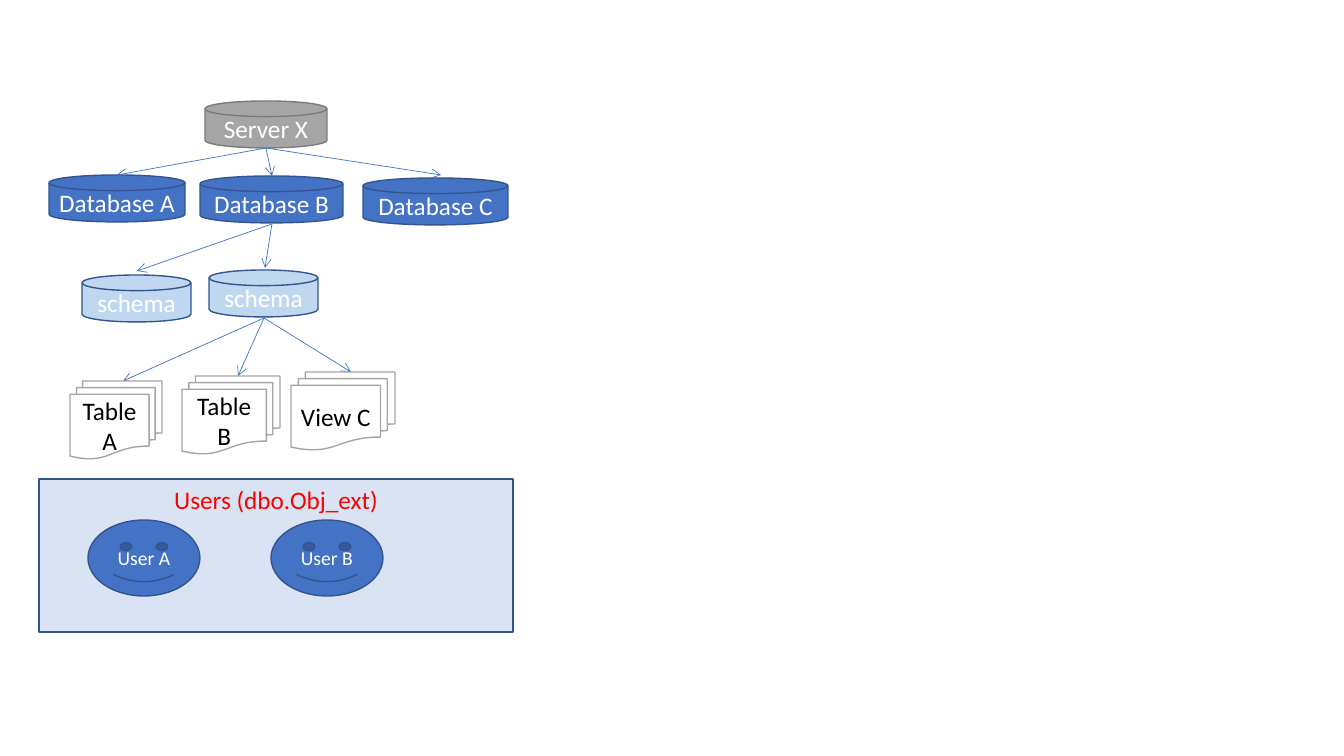
from dataclasses import dataclass

from lxml import etree
from pptx import Presentation
from pptx import util as u
from pptx.dml.color import RGBColor
from pptx.enum import shapes, text
from pptx.oxml import ns

PX = 914400 / 100.8  # EMU in one pixel
KIND = shapes.MSO_SHAPE


@dataclass(frozen=True)
class Theme:
    """Colours, type sizes and line widths of the slide."""
    font: str = "Calibri"
    body: int = 18
    small: int = 14
    outline: float = 1
    thin: float = 0.5
    white: str = "FFFFFF"
    black: str = "000000"
    red: str = "FF0000"
    blue: str = "4472C4"
    navy: str = "325491"
    sky: str = "BFD8EF"
    panel: str = "DAE3F3"
    grey: str = "A5A5A5"
    dark_grey: str = "7A7A7A"


def emu(px):
    """Turn pixels into EMU."""
    return u.Emu(round(px * PX))


def rgb(code):
    """Turn a hex code into a colour."""
    return RGBColor.from_string(code)


def write(sp, words, *, font, size, color, anchor=text.MSO_ANCHOR.MIDDLE):
    """Put one centred paragraph into a shape."""
    tf = sp.text_frame
    tf.word_wrap = True
    tf.vertical_anchor = anchor
    p = tf.paragraphs[0]
    p.alignment = text.PP_ALIGN.CENTER
    r = p.add_run()
    r.text = words
    r.font.name, r.font.size = font, u.Pt(size)
    r.font.color.rgb = rgb(color)


class Diagram:
    """Draws the elements of one slide in one style."""

    def __init__(self, s, theme):
        """Keep the slide and the theme."""
        self.s, self.t = s, theme

    def box(self, kind, words, at, fill, line, color=None, size=None, **fmt):
        """Add a filled, outlined preset shape with text."""
        sp = self.s.shapes.add_shape(kind, *map(emu, at))
        sp.shadow.inherit = False
        sp.fill.solid()
        sp.fill.fore_color.rgb = rgb(fill)
        sp.line.color.rgb = rgb(line)
        sp.line.width = u.Pt(self.t.outline)
        write(sp, words, font=self.t.font, size=size or self.t.body,
              color=color or self.t.white, **fmt)

    def disk(self, words, at, fill, line=None):
        """Add a cylinder for a server, database or schema."""
        self.box(KIND.FLOWCHART_MAGNETIC_DISK, words, at, fill,
                 line or self.t.navy)

    def pages(self, words, at):
        """Add a stack of pages for a table or view."""
        self.box(KIND.FLOWCHART_MULTIDOCUMENT, words, at, self.t.white,
                 self.t.grey, self.t.black)

    def panel(self, words, at):
        """Add a panel with its title at the top."""
        self.box(KIND.RECTANGLE, words, at, self.t.panel, self.t.navy,
                 self.t.red, anchor=text.MSO_ANCHOR.TOP)

    def user(self, words, at):
        """Add a smiley for a user."""
        self.box(KIND.SMILEY_FACE, words, at, self.t.blue, self.t.navy,
                 size=self.t.small)

    def arrow(self, start, end):
        """Add a thin line with an open arrowhead at its end."""
        c = self.s.shapes.add_connector(shapes.MSO_CONNECTOR.STRAIGHT,
                                        *map(emu, start + end))
        c.line.color.rgb = rgb(self.t.blue)
        c.line.width = u.Pt(self.t.thin)
        props = c._element.spPr
        etree.SubElement(props.find(ns.qn("a:ln")), ns.qn("a:tailEnd"),
                         type="arrow")
        etree.SubElement(props, ns.qn("a:effectLst"))


def main():
    """Build the slide and save it."""
    prs = Presentation()
    prs.slide_width, prs.slide_height = emu(1344), emu(756)
    t = Theme()
    d = Diagram(prs.slides.add_slide(prs.slide_layouts[6]), t)

    disk_h, page_h = 47, 78
    d.disk("Server X", (205, 101, 122, disk_h), t.grey, t.dark_grey)
    for name, x, y, w in (("A", 49, 175, 136), ("B", 200, 176, 143),
                          ("C", 363, 178, 145)):
        d.disk(f"Database {name}", (x, y, w, disk_h), t.blue)
    for x, y in ((82, 275), (209, 270)):
        d.disk("schema", (x, y, 109, disk_h), t.sky)

    fans = {
        (266, 148): ((117, 175), (272, 176), (441, 175)),
        (272, 224): ((137, 271), (265, 268)),
        (264, 318): ((123, 381), (238, 376), (351, 372)),
    }
    for start, ends in fans.items():
        for end in ends:
            d.arrow(start, end)

    for name, x, y, w in (("Table A", 70, 381, 92), ("Table B", 182, 376, 98),
                          ("View C", 291, 372, 104)):
        d.pages(name, (x, y, w, page_h))

    d.panel("Users (dbo.Obj_ext)", (39, 479, 474, 153))
    for name, x in (("User A", 88), ("User B", 271)):
        d.user(name, (x, 520, 112, 76))

    prs.save("out.pptx")


main()
